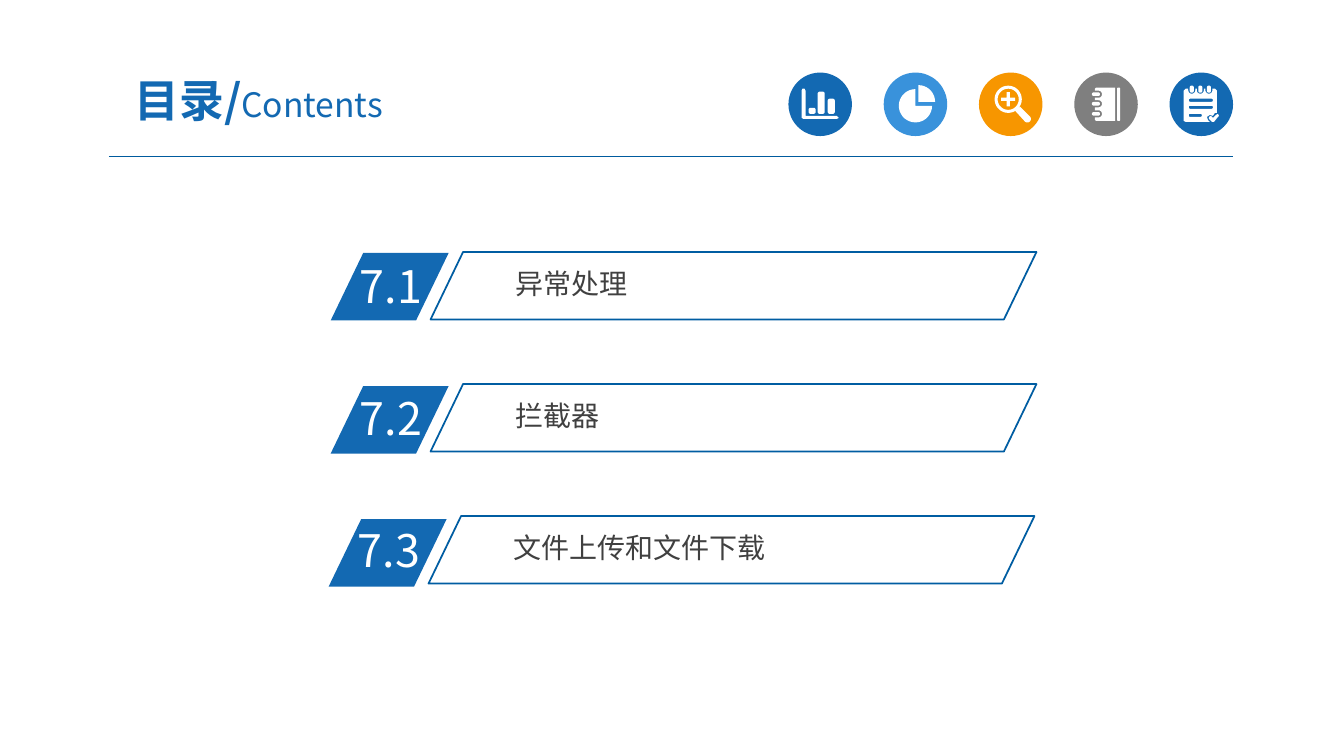
import math
from dataclasses import dataclass

from lxml import etree
from pptx import Presentation
from pptx.dml.color import RGBColor
from pptx.enum import shapes, text
from pptx.oxml import ns
from pptx import util as u

Point = tuple[float, float]
Contour = list[Point]


@dataclass(frozen=True)
class Theme:
    font: str = "Noto Sans CJK SC"
    blue: str = "1369B2"
    sky: str = "3992DB"
    orange: str = "F79600"
    grey: str = "7F7F7F"
    rule: str = "005B9E"
    frame: str = "005DA2"
    ink: str = "404040"
    white: str = "FFFFFF"
    title: int = 32
    subtitle: int = 24
    number: int = 32
    label: int = 20


@dataclass(frozen=True)
class Badge:
    colour: str
    contours: list[Contour]


@dataclass(frozen=True)
class Chapter:
    number: str
    label: str
    shift: float = 0


THEME = Theme()


# Icon outlines, in inches on the slide
def arc(cx: float, cy: float, r: float, start: float, end: float) -> Contour:
    steps = max(4, round(abs(end - start) / 10))
    angles = [math.radians(start + (end - start) * i / steps) for i in range(steps + 1)]
    return [(cx + r * math.cos(a), cy + r * math.sin(a)) for a in angles]


def rounded(x: float, y: float, w: float, h: float, r: float = 0.01) -> Contour:
    return (arc(x + r, y + r, r, 180, 270) + arc(x + w - r, y + r, r, 270, 360)
            + arc(x + w - r, y + h - r, r, 0, 90) + arc(x + r, y + h - r, r, 90, 180))


def bar_chart() -> list[Contour]:
    axes = [(7.95, 0.9), (7.96, 0.88), (7.98, 0.88), (7.99, 0.9), (7.99, 1.15),
            (8.3, 1.15), (8.32, 1.17), (8.3, 1.18), (7.97, 1.18), (7.95, 1.17)]
    bars = [(8.02, 1.07), (8.11, 0.91), (8.21, 0.98)]
    return [axes] + [rounded(x, top, 0.07, 1.13 - top, 0.02) for x, top in bars]


def pie_chart() -> list[Contour]:
    return [[(9.08, 1.05)] + arc(9.08, 1.05, 0.165, 0, 270),
            [(9.11, 1.01)] + arc(9.11, 1.01, 0.165, -90, 0)]


def magnifier() -> list[Contour]:
    x, y = 10, 0.985
    handle = [(10.07, 1.1)] + arc(10.19, 1.18, 0.035, 135, -45) + [(10.12, 1.06)]
    near, far = 0.016, 0.07
    corners = [(-near, -far), (near, -far), (near, -near), (far, -near),
               (far, near), (near, near), (near, far), (-near, far),
               (-near, near), (-far, near), (-far, -near), (-near, -near)]
    plus = [(x + dx, y + dy) for dx, dy in corners]
    return [arc(x, y, 0.135, 0, 360), arc(x, y, 0.105, 0, 360), handle, plus]


def notebook() -> list[Contour]:
    rings = (0.935, 1.03, 1.13)
    page = [(11.06, 1.2), (11.06, 0.87), (10.87, 0.87), (10.86, 0.88)]
    for y in rings:
        page += [(10.86, y - 0.035)] + arc(10.895, y, 0.035, -90, 90) + [(10.86, y + 0.035)]
    page += [(10.86, 1.19), (10.87, 1.2)]
    return ([page, rounded(11.08, 0.87, 0.03, 0.33)]
            + [rounded(10.83, y - 0.018, 0.08, 0.036, 0.018) for y in rings])


def checklist() -> list[Contour]:
    rings = (11.82, 11.905, 11.99)
    page = [(11.74, 0.9), (11.76, 0.88)]
    for x in rings:
        page += [(x - 0.035, 0.88)] + arc(x, 0.895, 0.035, 180, 0) + [(x + 0.035, 0.88)]
    page += [(12.05, 0.88), (12.07, 0.9), (12.07, 1.12), (12.05, 1.12), (12.03, 1.15),
             (12, 1.14), (11.97, 1.16), (11.98, 1.19), (12, 1.21), (11.76, 1.21), (11.74, 1.2)]
    tick = [(12.08, 1.16), (12.04, 1.21), (12.02, 1.21), (11.99, 1.18), (11.99, 1.16),
            (12.01, 1.15), (12.03, 1.17), (12.06, 1.14), (12.08, 1.13), (12.09, 1.15)]
    lines = [(0.98, 0.24), (1.05, 0.24), (1.13, 0.13)]
    return ([page, tick]
            + [rounded(x - 0.02, 0.85, 0.04, 0.07, 0.018) for x in rings]
            + [rounded(11.79, y, w, 0.03, 0.014) for y, w in lines])


# Drawing helpers
def paint(shape, fill: str) -> None:
    shape.shadow.inherit = False
    shape.fill.solid()
    shape.fill.fore_color.rgb = RGBColor.from_string(fill)
    shape.line.fill.background()


def style(span, size: int, colour: str, bold: bool = False) -> None:
    span.font.size = u.Pt(size)
    span.font.bold = bold
    span.font.color.rgb = RGBColor.from_string(colour)
    span.font.name = THEME.font
    etree.SubElement(span._r.get_or_add_rPr(), ns.qn("a:ea"), typeface=THEME.font)


def add_box(page, left: float, top: float, width: float, height: float,
            inset_x: float = 0.1, inset_y: float = 0.05):
    box = page.shapes.add_textbox(*map(u.Inches, (left, top, width, height)))
    frame = box.text_frame
    frame.word_wrap = True
    frame.margin_left = frame.margin_right = u.Inches(inset_x)
    frame.margin_top = frame.margin_bottom = u.Inches(inset_y)
    return frame


def add_slanted(page, left: float, top: float, width: float, height: float):
    shape = page.shapes.add_shape(shapes.MSO_SHAPE.PARALLELOGRAM,
                                  *map(u.Inches, (left, top, width, height)))
    shape.adjustments[0] = 0.482
    return shape


def add_badge(page, left: float, badge: Badge) -> None:
    disc = page.shapes.add_shape(shapes.MSO_SHAPE.OVAL,
                                 *map(u.Inches, (left, 0.72, 0.63, 0.63)))
    paint(disc, badge.colour)
    outlines = [[(u.Inches(x), u.Inches(y)) for x, y in c] for c in badge.contours]
    builder = page.shapes.build_freeform(*outlines[0][0])
    for index, outline in enumerate(outlines):
        if index:
            builder.move_to(*outline[0])
        builder.add_line_segments(outline[1:], close=True)
    paint(builder.convert_to_shape(), THEME.white)


def add_chapter(page, index: int, chapter: Chapter) -> None:
    left, top = 3.28 + chapter.shift, 2.5 + 1.31 * index
    paint(add_slanted(page, left, 2.51 + 1.32 * index, 1.17, 0.67), THEME.blue)
    number = add_box(page, left + 0.19, top + 0.02, 1.12, 0.64)
    number.text = chapter.number
    style(number.paragraphs[0].runs[0], THEME.number, THEME.white)

    label = add_box(page, left + 1.76, top + 0.1, 4.72, 0.41, 0.07, 0.04)
    label.text = chapter.label
    style(label.paragraphs[0].runs[0], THEME.label, THEME.ink)
    outline = add_slanted(page, left + 0.99, top, 6.01, 0.67)
    outline.shadow.inherit = False
    outline.fill.background()
    outline.line.color.rgb = RGBColor.from_string(THEME.frame)
    outline.line.width = u.Pt(1.25)


def main() -> None:
    deck = Presentation()
    deck.slide_width, deck.slide_height = u.Inches(13.33), u.Inches(7.5)
    page = deck.slides.add_slide(deck.slide_layouts[6])

    # Header rule
    rule = page.shapes.add_connector(shapes.MSO_CONNECTOR.STRAIGHT,
                                     *map(u.Inches, (1.08, 1.55, 12.23, 1.55)))
    rule.line.color.rgb = RGBColor.from_string(THEME.rule)
    rule.line.width = u.Pt(0.75)
    etree.SubElement(rule._element.spPr, ns.qn("a:effectLst"))

    # Header icons
    badges = [Badge(THEME.blue, bar_chart()), Badge(THEME.sky, pie_chart()),
              Badge(THEME.orange, magnifier()), Badge(THEME.grey, notebook()),
              Badge(THEME.blue, checklist())]
    for index, badge in enumerate(badges):
        add_badge(page, 7.82 + 0.945 * index, badge)

    # Title
    title = add_box(page, 0.92, 0.63, 3.29, 0.72, 0.13, 0.07)
    title.vertical_anchor = text.MSO_ANCHOR.MIDDLE
    para = title.paragraphs[0]
    para.text = "目录/"
    para.alignment = text.PP_ALIGN.CENTER
    style(para.runs[0], THEME.title, THEME.blue, bold=True)
    span = para.add_run()
    span.text = "Contents"
    style(span, THEME.subtitle, THEME.blue)

    # Chapters
    chapters = [Chapter("7.1", "异常处理"), Chapter("7.2", "拦截器"),
                Chapter("7.3", "文件上传和文件下载", -0.02)]
    for index, chapter in enumerate(chapters):
        add_chapter(page, index, chapter)

    deck.save("out.pptx")


if __name__ == "__main__":
    main()
